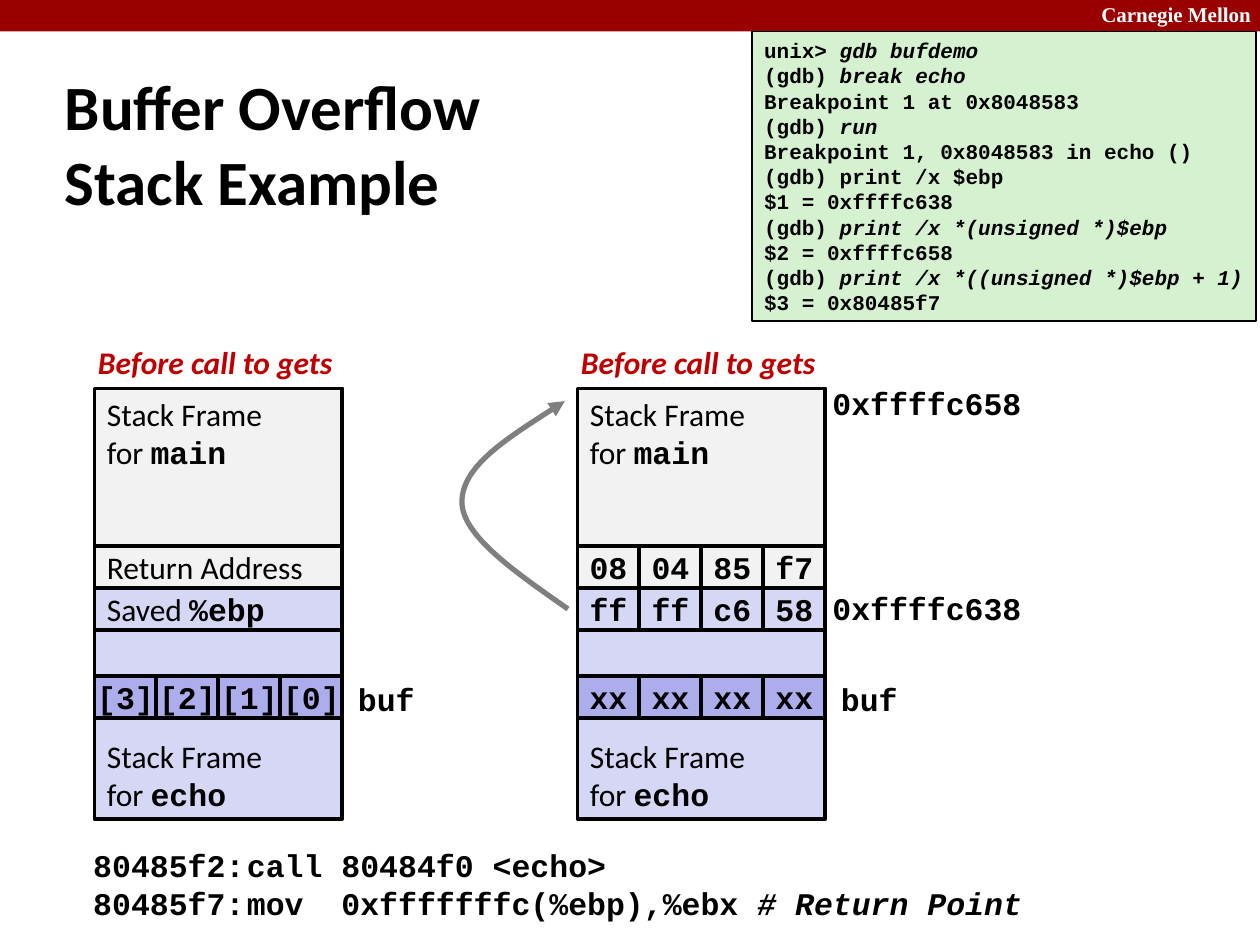
import dataclasses

import pptx
import pptx.dml.color
import pptx.enum.shapes
import pptx.enum.text
import pptx.oxml
import pptx.oxml.ns
import pptx.util

COLS, ROWS = 120, 90
WIDE, HIGH = pptx.util.Inches(10), pptx.util.Inches(7.5)
ANCHOR = pptx.enum.text.MSO_ANCHOR
ALIGN = pptx.enum.text.PP_ALIGN
QN = pptx.oxml.ns.qn
CELL = 5.9
FRAME = 4 * CELL
SLOT = 4


@dataclasses.dataclass(frozen=True)
class Theme:
    sans: str = "Calibri"
    mono: str = "Courier New"
    serif: str = "Times New Roman"
    black: str = "000000"
    white: str = "FFFFFF"
    band: str = "990000"
    red: str = "C00000"
    gray: str = "7F7F7F"
    pale: str = "F2F2F2"
    blue: str = "D6D6F5"
    deep: str = "ADADEB"
    green: str = "D5F1CF"
    small: float = 12
    body: float = 18
    head: float = 36
    thin: float = 1
    edge: float = 2.25
    curve: float = 3


THEME = Theme()


@dataclasses.dataclass(frozen=True)
class Style:
    face: str = THEME.sans
    size: float = THEME.body
    color: str = THEME.black
    bold: bool = False
    slant: bool = False
    align: ALIGN = ALIGN.LEFT
    tab: float = 0


PLAIN = Style()
CODE = Style(face=THEME.mono, bold=True)
BYTE = dataclasses.replace(CODE, align=ALIGN.CENTER)
SHELL = dataclasses.replace(CODE, size=THEME.small)
LIST = dataclasses.replace(CODE, tab=1.37)
NOTE = Style(color=THEME.red, bold=True, slant=True)
TITLE = Style(size=THEME.head, bold=True)
BRAND = Style(face=THEME.serif, size=THEME.small, color=THEME.white, bold=True)


def across(cols):
    return round(WIDE * cols / COLS)


def down(rows):
    return round(HIGH * rows / ROWS)


def place(left, top, width, height):
    return across(left), down(top), across(width), down(height)


def rgb(color):
    return pptx.dml.color.RGBColor.from_string(color)


def add_tab(para, inches):
    tabs = pptx.oxml.parse_xml(
        f'<a:tabLst {pptx.oxml.ns.nsdecls("a")}>'
        f'<a:tab pos="{pptx.util.Inches(inches)}" algn="l"/></a:tabLst>')
    para._p.get_or_add_pPr().append(tabs)


def write(shape, lines, style, anchor=ANCHOR.TOP, wrap=False):
    frame = shape.text_frame
    frame.word_wrap = wrap
    frame.vertical_anchor = anchor
    for n, (base, accent) in enumerate(lines):
        para = frame.add_paragraph() if n else frame.paragraphs[0]
        para.alignment = style.align
        if style.tab:
            add_tab(para, style.tab)
        font = para.font
        font.name, font.size = style.face, pptx.util.Pt(style.size)
        font.bold, font.italic = style.bold, style.slant
        font.color.rgb = rgb(style.color)
        if base:
            para.add_run().text = base
        if accent:
            run = para.add_run()
            run.text = accent
            if style.face == THEME.mono:
                run.font.italic = True
            else:
                run.font.name, run.font.bold = THEME.mono, True


def add_text(slide, area, lines, style, **opts):
    write(slide.shapes.add_textbox(*place(*area)), lines, style, **opts)


def add_box(slide, area, fill, edge=THEME.edge, lines=(), style=PLAIN,
            anchor=ANCHOR.MIDDLE):
    kind = pptx.enum.shapes.MSO_SHAPE.RECTANGLE
    box = slide.shapes.add_shape(kind, *place(*area))
    box.shadow.inherit = False
    box.fill.solid()
    box.fill.fore_color.rgb = rgb(fill)
    if edge:
        box.line.color.rgb = rgb(THEME.black)
        box.line.width = pptx.util.Pt(edge)
    else:
        box.line.fill.background()
    write(box, lines, style, anchor)


def add_bytes(slide, left, top, fill, words):
    for n, word in enumerate(words):
        area = (left + n * CELL, top, CELL, SLOT)
        add_box(slide, area, fill, lines=[(word, "")], style=BYTE)


def add_stack(slide, left, buffer):
    add_box(slide, (left, 37, FRAME, 15), THEME.pale,
            lines=[("Stack Frame", ""), ("for ", "main")], anchor=ANCHOR.TOP)
    add_box(slide, (left, 60, FRAME, 18), THEME.blue,
            lines=[("Stack Frame", ""), ("for ", "echo")], anchor=ANCHOR.BOTTOM)
    add_bytes(slide, left, 64.4, THEME.deep, buffer)
    add_text(slide, (left - 0.85, 32.1, 24.8, 4.8),
             [("Before call to gets", "")], NOTE)
    add_text(slide, (left + FRAME + 0.3, 64.2, 7.8, 4.8), [("buf", "")], CODE)


def add_curve(slide, start, points):
    build = slide.shapes.build_freeform(across(start[0]), down(start[1]))
    build.add_line_segments([(across(x), down(y)) for x, y in points], close=False)
    curve = build.convert_to_shape()
    curve.shadow.inherit = False
    curve.fill.background()
    curve.line.color.rgb = rgb(THEME.gray)
    curve.line.width = pptx.util.Pt(THEME.curve)
    steps = list(curve._element.iter(QN("a:lnTo")))
    for n in range(0, len(steps), 3):
        bend = pptx.oxml.parse_xml(f'<a:cubicBezTo {pptx.oxml.ns.nsdecls("a")}/>')
        steps[n].addprevious(bend)
        for step in steps[n:n + 3]:
            bend.append(step[0])
            step.getparent().remove(step)
    tip = pptx.oxml.parse_xml(
        f'<a:tailEnd {pptx.oxml.ns.nsdecls("a")} type="triangle"/>')
    curve.line._get_or_add_ln().append(tip)


def main():
    deck = pptx.Presentation()
    deck.slide_width, deck.slide_height = WIDE, HIGH
    slide = deck.slides.add_slide(deck.slide_layouts[6])

    add_box(slide, (0, 0, COLS, 3), THEME.band, edge=0)
    add_text(slide, (103.7, -0.4, 17.2, 3.6), [("Carnegie Mellon", "")], BRAND)
    add_text(slide, (5, 3, 46.3, 21.2), [("Buffer Overflow Stack Example", "")],
             TITLE, anchor=ANCHOR.MIDDLE, wrap=True)

    shell = [
        ("unix> ", "gdb bufdemo"),
        ("(gdb) ", "break echo"),
        ("Breakpoint 1 at 0x8048583", ""),
        ("(gdb) ", "run"),
        ("Breakpoint 1, 0x8048583 in echo ()", ""),
        ("(gdb) print /x $ebp", ""),
        ("$1 = 0xffffc638", ""),
        ("(gdb) ", "print /x *(unsigned *)$ebp"),
        ("$2 = 0xffffc658", ""),
        ("(gdb) ", "print /x *((unsigned *)$ebp + 1)"),
        ("$3 = 0x80485f7", ""),
    ]
    add_box(slide, (71.6, 3, 48, 27.6), THEME.green, THEME.thin, shell, SHELL,
            ANCHOR.TOP)

    left, right = 9, 55
    add_stack(slide, left, ["[3]", "[2]", "[1]", "[0]"])
    add_box(slide, (left, 52, FRAME, SLOT), THEME.pale,
            lines=[("Return Address", "")])
    add_box(slide, (left, 56, FRAME, SLOT), THEME.blue,
            lines=[("Saved ", "%ebp")])

    add_stack(slide, right, ["xx"] * 4)
    add_bytes(slide, right, 52, THEME.pale, ["08", "04", "85", "f7"])
    add_bytes(slide, right, 56, THEME.blue, ["ff", "ff", "c6", "58"])
    for top, word in ((36, "0xffffc658"), (55.5, "0xffffc638")):
        add_text(slide, (78.1, top, 20.4, 4.8), [(word, "")], CODE)

    add_curve(slide, (54.1, 58),
              [(49.1, 54.5), (44, 51), (44, 47.8),
               (44, 44.4), (49, 41.3), (53.8, 38.2)])
    add_text(slide, (5.9, 80, 98.2, 8.4), [
        (" 80485f2:\tcall 80484f0 <echo>", ""),
        (" 80485f7:\tmov  0xfffffffc(%ebp),%ebx ", "# Return Point"),
    ], LIST, wrap=True)
    deck.save("out.pptx")


if __name__ == "__main__":
    main()
